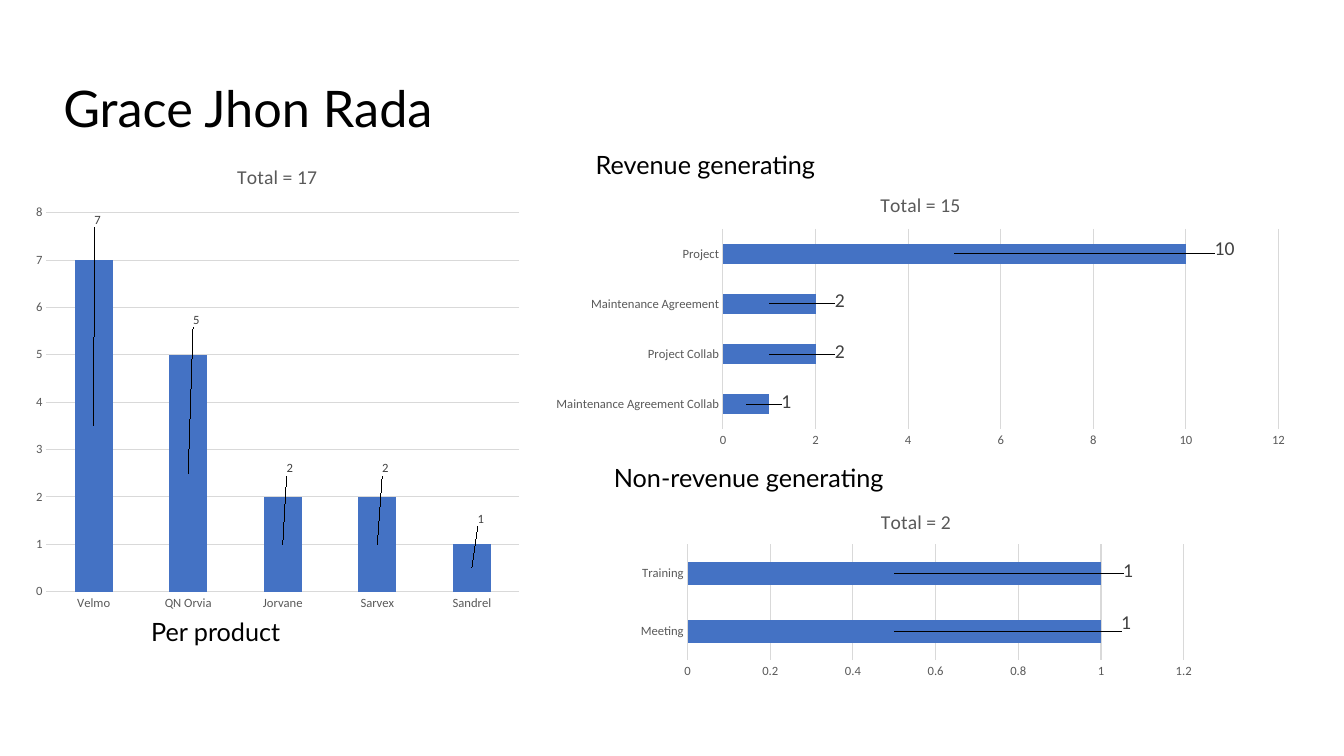
from pptx import Presentation
from pptx import util as u
from pptx.chart import data as cd
from pptx.dml.color import RGBColor
from pptx.enum import chart as ce, text
from pptx.oxml import parse_xml

COLORS = {"text": "000000", "bar": "4472C4", "axis": "595959",
          "label": "404040", "grid": "D9D9D9"}
CHART_NS = "http://schemas.openxmlformats.org/drawingml/2006/chart"


def color(name):
    return RGBColor.from_string(COLORS[name])


def set_font(font, size, name, face="Calibri"):
    font.size = u.Pt(size)
    font.name = face
    font.bold = False
    font.color.rgb = color(name)


def add_text(s, words, left, top, width, height=0.4, size=18):
    box = s.shapes.add_textbox(*map(u.Inches, (left, top, width, height)))
    tf = box.text_frame
    tf.word_wrap = False
    tf.auto_size = text.MSO_AUTO_SIZE.SHAPE_TO_FIT_TEXT
    r = tf.paragraphs[0].add_run()
    r.text = words
    set_font(r.font, size, "text", "Lato")


def manual_layout(inner=False, **fractions):
    """Chart layout whose values are fractions of the chart's size."""
    modes = ""
    if inner:
        modes = ('<c:layoutTarget val="inner"/><c:xMode val="edge"/>'
                 '<c:yMode val="edge"/>')
    values = "".join(f'<c:{k} val="{v:.4f}"/>' for k, v in fractions.items())
    return parse_xml(f'<c:layout xmlns:c="{CHART_NS}"><c:manualLayout>'
                     f'{modes}{values}</c:manualLayout></c:layout>')


def place_plot(chart, at, plot):
    left, top, width, height = at
    area = chart.element.xpath(".//c:plotArea")[0]
    for old in area.xpath("./c:layout"):
        area.remove(old)
    area.insert(0, manual_layout(
        inner=True, x=(plot[0] - left) / width, y=(plot[1] - top) / height,
        w=plot[2] / width, h=plot[3] / height))


def style_axes(chart, top_value, step):
    for axis in (chart.category_axis, chart.value_axis):
        axis.major_tick_mark = axis.minor_tick_mark = ce.XL_TICK_MARK.NONE
        axis.format.line.fill.background()
        set_font(axis.tick_labels.font, 9, "axis")
    axis = chart.value_axis
    axis.minimum_scale, axis.maximum_scale = 0, top_value
    axis.major_unit = step
    axis.has_major_gridlines = True
    line = axis.major_gridlines.format.line
    line.color.rgb = color("grid")
    line.width = u.Pt(0.75)


def label_points(chart, at, offsets, size):
    """Show the values, moved by (x, y) inches from the bar centres."""
    series = chart.plots[0].series[0]
    for i in range(len(offsets)):
        label = series.points[i].data_label
        set_font(label.font, size, "label")
        label.position = ce.XL_LABEL_POSITION.CENTER
    labels = series.data_labels
    labels.show_value = True
    set_font(labels.font, size, "label")
    for dlbl, (x, y) in zip(chart.element.xpath(".//c:dLbl"), offsets):
        dlbl.insert(1, manual_layout(x=x / at[2], y=y / at[3]))


def add_bars(s, kind, title, values, at, plot, scale, offsets, label_size):
    data = cd.CategoryChartData()
    data.categories = list(values)
    data.add_series("Series 1", list(values.values()))
    chart = s.shapes.add_chart(kind, *map(u.Inches, at), data).chart
    set_font(chart.font, 10, "text")
    chart.has_legend = False
    chart.has_title = True
    r = chart.chart_title.text_frame.paragraphs[0].add_run()
    r.text = title
    set_font(r.font, 14, "axis")

    bars = chart.plots[0]
    bars.gap_width, bars.overlap = 150, 100
    bars.vary_by_categories = False
    fill = bars.series[0].format.fill
    fill.solid()
    fill.fore_color.rgb = color("bar")
    style_axes(chart, *scale)
    label_points(chart, at, offsets, label_size)
    place_plot(chart, at, plot)


def main():
    prs = Presentation()
    prs.slide_width, prs.slide_height = u.Inches(13.33), u.Inches(7.5)
    s = prs.slides.add_slide(prs.slide_layouts[6])

    # Headings
    add_text(s, "Grace Jhon Rada", 0.53, 0.72, 4.44, 0.71, size=36)
    add_text(s, "Per product", 1.4, 6.07, 1.58)
    add_text(s, "Revenue generating", 5.81, 1.43, 2.61)
    add_text(s, "Non-revenue generating", 5.99, 4.54, 3.14)

    # Per product
    add_bars(s, ce.XL_CHART_TYPE.COLUMN_STACKED, "Total = 17",
             {"Velmo": 7, "QN Orvia": 5, "Jorvane": 2, "Sarvex": 2,
              "Sandrel": 1},
             at=(0.25, 1.44, 5, 4.71), plot=(0.46, 2.11, 4.69, 3.76),
             scale=(8, 1), label_size=9,
             offsets=[(0.04, -2.04), (0.08, -1.52), (0.07, -0.75),
                      (0.08, -0.75), (0.09, -0.48)])

    # Revenue generating
    add_bars(s, ce.XL_CHART_TYPE.BAR_STACKED, "Total = 15",
             {"Maintenance Agreement Collab": 1, "Project Collab": 2,
              "Maintenance Agreement": 2, "Project": 10},
             at=(5.37, 1.75, 7.52, 2.74), plot=(7.17, 2.27, 5.51, 1.99),
             scale=(12, 2), label_size=14,
             offsets=[(0.4, -0.03), (0.7, -0.02), (0.7, -0.03),
                      (2.68, -0.05)])

    # Non-revenue generating
    add_bars(s, ce.XL_CHART_TYPE.BAR_STACKED, "Total = 2",
             {"Meeting": 1, "Training": 1},
             at=(6.24, 4.92, 5.69, 1.86), plot=(6.82, 5.4, 4.92, 1.15),
             scale=(1.2, 0.2), label_size=14,
             offsets=[(2.3, -0.08), (2.32, -0.03)])

    prs.save("out.pptx")


if __name__ == "__main__":
    main()
